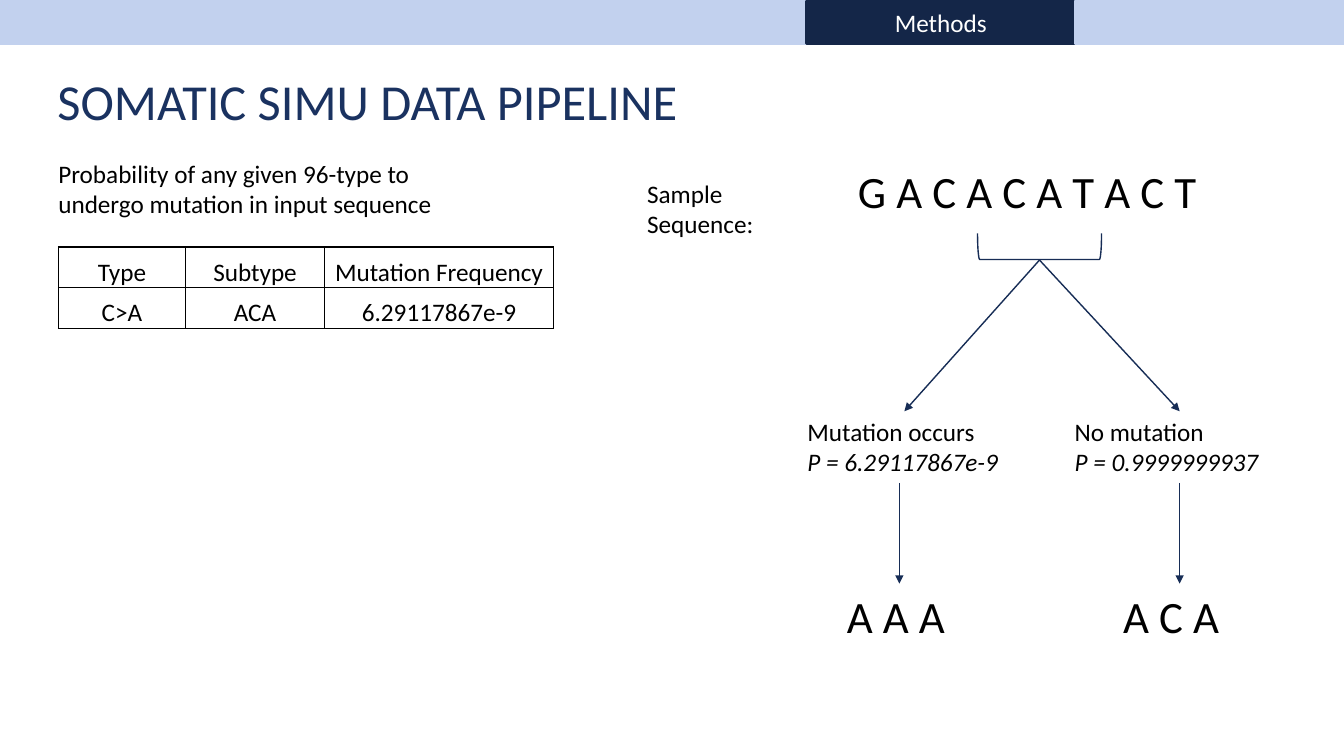
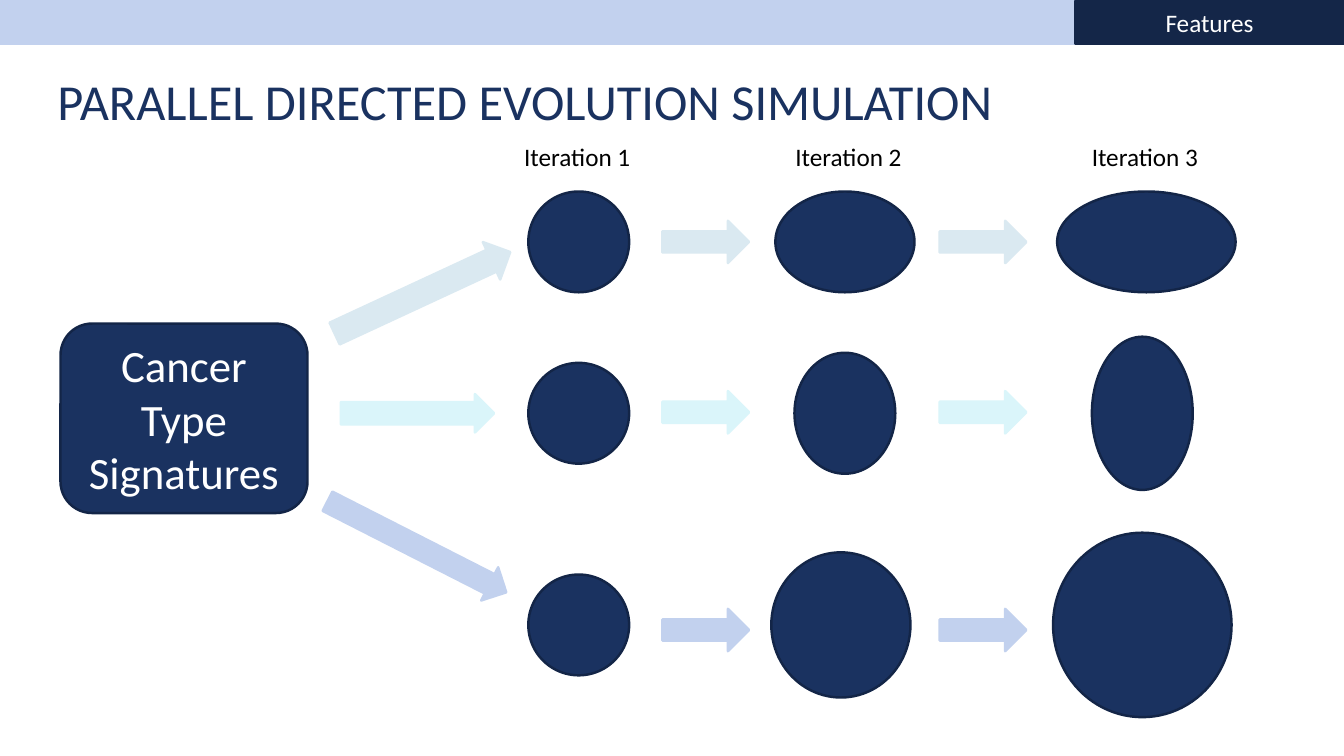
import pptx
import pptx.util
import pptx.dml.color
import pptx.enum.shapes
import pptx.enum.text
import pptx.oxml
import pptx.oxml.ns

Inches = pptx.util.Inches
Pt = pptx.util.Pt
RGBColor = pptx.dml.color.RGBColor
SHAPE = pptx.enum.shapes.MSO_SHAPE
ALIGN = pptx.enum.text.PP_ALIGN
ANCHOR = pptx.enum.text.MSO_ANCHOR
qn = pptx.oxml.ns.qn
NS = pptx.oxml.ns.nsdecls("a")

# Shared look
NAVY = RGBColor(0x1A, 0x32, 0x60)
EDGE = RGBColor(0x13, 0x25, 0x47)
DARK = RGBColor(0x14, 0x26, 0x48)
INK = RGBColor(0x17, 0x2D, 0x56)
PALE = RGBColor(0xC2, 0xD1, 0xEE)
ICE = RGBColor(0xDA, 0xE9, 0xF1)
AQUA = RGBColor(0xDA, 0xF5, 0xFA)
BLACK = RGBColor(0, 0, 0)
WHITE = RGBColor(0xFF, 0xFF, 0xFF)
FONT = "Calibri"
WIDE, HIGH = 13.33, 7.5
TABS = 5


def style(par, size, color, align=ALIGN.LEFT, italic=None):
    par.alignment = align
    par.font.name = FONT
    par.font.size = Pt(size)
    par.font.color.rgb = color
    par.font.italic = italic


def add_shape(slide, kind, box, fill, edge, width=1.75):
    shape = slide.shapes.add_shape(kind, *map(Inches, box))
    shape.shadow.inherit = False
    if fill is None:
        shape.fill.background()
    else:
        shape.fill.solid()
        shape.fill.fore_color.rgb = fill
    shape.line.color.rgb = edge
    shape.line.width = Pt(width)
    return shape


def put_label(shape, text, size):
    """Write white centred text inside a shape."""
    frame = shape.text_frame
    frame.text = text
    frame.word_wrap = True
    frame.vertical_anchor = ANCHOR.MIDDLE
    for par in frame.paragraphs:
        style(par, size, WHITE, ALIGN.CENTER)


def add_text(slide, box, text, size=18, wrap=True):
    frame = slide.shapes.add_textbox(*map(Inches, box)).text_frame
    frame.word_wrap = wrap
    frame.text = text
    for par in frame.paragraphs:
        style(par, size, BLACK)
    return frame


def add_line(slide, start, end):
    """Draw a thin line with an arrowhead at its end."""
    line = slide.shapes.add_connector(
        pptx.enum.shapes.MSO_CONNECTOR.STRAIGHT, *map(Inches, start + end))
    line.line.color.rgb = INK
    line.line.width = Pt(1)
    props = line.element.spPr
    props.find(qn("a:ln")).append(
        pptx.oxml.parse_xml(f'<a:tailEnd {NS} type="triangle"/>'))
    props.append(pptx.oxml.parse_xml(f"<a:effectLst {NS}/>"))


def add_arrow(slide, box, color, turn=0, shaft=0.5):
    arrow = add_shape(slide, SHAPE.RIGHT_ARROW, box, color, color)
    arrow.adjustments[0] = shaft
    arrow.rotation = turn


def add_table(slide, box, widths, rows):
    holder = slide.shapes.add_table(len(rows), len(widths), *map(Inches, box))
    table = holder.table
    table.first_row = table.horz_banding = False
    for col, width in zip(table.columns, widths):
        col.width = Inches(width)
    for r, row in enumerate(rows):
        for c, text in enumerate(row):
            cell = table.cell(r, c)
            cell.text = text
            cell.fill.background()
            cell.vertical_anchor = ANCHOR.BOTTOM
            cell.margin_left = cell.margin_right = Inches(0.01)
            cell.margin_top, cell.margin_bottom = Inches(0.01), 0
            style(cell.text_frame.paragraphs[0], 18, BLACK, ALIGN.CENTER)
    # Thin black borders go before the fill
    for props in holder.element.iter(qn("a:tcPr")):
        for i, side in enumerate("LRTB"):
            props.insert(i, pptx.oxml.parse_xml(
                f'<a:ln{side} {NS} w="12700"><a:solidFill>'
                f'<a:srgbClr val="{BLACK}"/></a:solidFill></a:ln{side}>'))


def add_slide(deck, title, tab, name):
    """Start a slide with its title and its tab band."""
    slide = deck.slides.add_slide(deck.slide_layouts.get_by_name("Title Only"))
    head = slide.shapes.title
    head.left, head.top, head.width, head.height = map(
        Inches, (0.47, 0.65, 12.27, 0.7))
    frame = head.text_frame
    frame.text = title
    frame.auto_size = pptx.enum.text.MSO_AUTO_SIZE.NONE
    frame.vertical_anchor = ANCHOR.BOTTOM
    style(frame.paragraphs[0], 36, NAVY)
    step = WIDE / TABS
    for i in range(TABS):
        color = DARK if i == tab else PALE
        shape = add_shape(slide, SHAPE.RECTANGLE, (i * step, 0.01, step, 0.42),
                          color, color)
        if i == tab:
            put_label(shape, name, 18)
    return slide


def draw_methods(deck):
    slide = add_slide(deck, "SOMATIC SIMU DATA PIPELINE", 3, "Methods")

    # Mutation table
    add_text(slide, (0.48, 1.52, 4.08, 0.71),
             "Probability of any given 96-type to undergo mutation "
             "in input sequence")
    add_table(slide, (0.58, 2.45, 4.91, 0.81), (1.26, 1.38, 2.27),
              [("Type", "Subtype", "Mutation Frequency"),
               ("C>A", "ACA", "6.29117867e-9")])

    # Sample sequence
    add_text(slide, (6.32, 1.72, 2, 0.71), "Sample Sequence:")
    add_text(slide, (8.41, 1.58, 4.08, 0.64), "G A C A C A T A C T", 32)
    brace = add_shape(slide, SHAPE.RIGHT_BRACKET, (10.18, 1.83, 0.26, 1.23),
                      None, INK, 1)
    brace.rotation = 90

    # Two outcomes: note left, fork end, drop line, result left
    for note, fork, drop, end, text, odds, bases in (
            (7.91, 8.97, 8.92, 8.3, "Mutation occurs",
             "P = 6.29117867e-9", "A A A"),
            (10.56, 11.7, 11.7, 11.04, "No mutation",
             "P = 0.9999999937", "A C A")):
        frame = add_text(slide, (note, 4.08, 2.2, 0.71), f"{text}\n{odds}")
        frame.paragraphs[1].font.italic = True
        add_line(slide, (10.31, 2.58), (fork, 4.08))
        add_line(slide, (drop, 4.79), (drop, 5.79))
        add_text(slide, (end, 5.79, 1.45, 0.64), bases, 32)


def draw_features(deck):
    slide = add_slide(deck, "PARALLEL DIRECTED EVOLUTION SIMULATION",
                      4, "Features")
    root = add_shape(slide, SHAPE.ROUNDED_RECTANGLE, (0.6, 3.21, 2.45, 1.88),
                     NAVY, EDGE)
    put_label(root, "Cancer\nType Signatures", 32)

    # Column heads
    for i, left in enumerate((5.1, 7.79, 10.73), 1):
        add_text(slide, (left, 1.35, 1.28, 0.4), f"Iteration {i}", wrap=False)

    # Each row: colour, middle, arrow middle, first arrow and its turn,
    # then the cells as (centre, width, height)
    rows = (
        (ICE, 2.4, 2.4, (3.23, 2.7, 1.92, 0.41), 335.1,
         ((5.74, 1, 1), (8.38, 1.38, 1), (11.37, 1.77, 1))),
        (AQUA, 4.1, 4.09, (3.38, 3.91, 1.52, 0.38), 0,
         ((5.74, 1, 1), (8.38, 1, 1.2), (11.33, 1, 1.52))),
        (PALE, 6.2, 6.25, (3.14, 5.24, 1.99, 0.37), 27,
         ((5.74, 1, 1), (8.34, 1.38, 1.44), (11.33, 1.77, 1.83))),
    )
    for color, mid, level, first, turn, cells in rows:
        add_arrow(slide, first, color, turn, 0.58)
        for x, w, h in cells:
            add_shape(slide, SHAPE.OVAL, (x - w / 2, mid - h / 2, w, h),
                      NAVY, EDGE)
        for left in (6.57, 9.32):
            add_arrow(slide, (left, level - 0.21, 0.86, 0.42), color)


def main():
    deck = pptx.Presentation()
    deck.slide_width, deck.slide_height = Inches(WIDE), Inches(HIGH)
    draw_methods(deck)
    draw_features(deck)
    deck.save("out.pptx")


if __name__ == "__main__":
    main()
